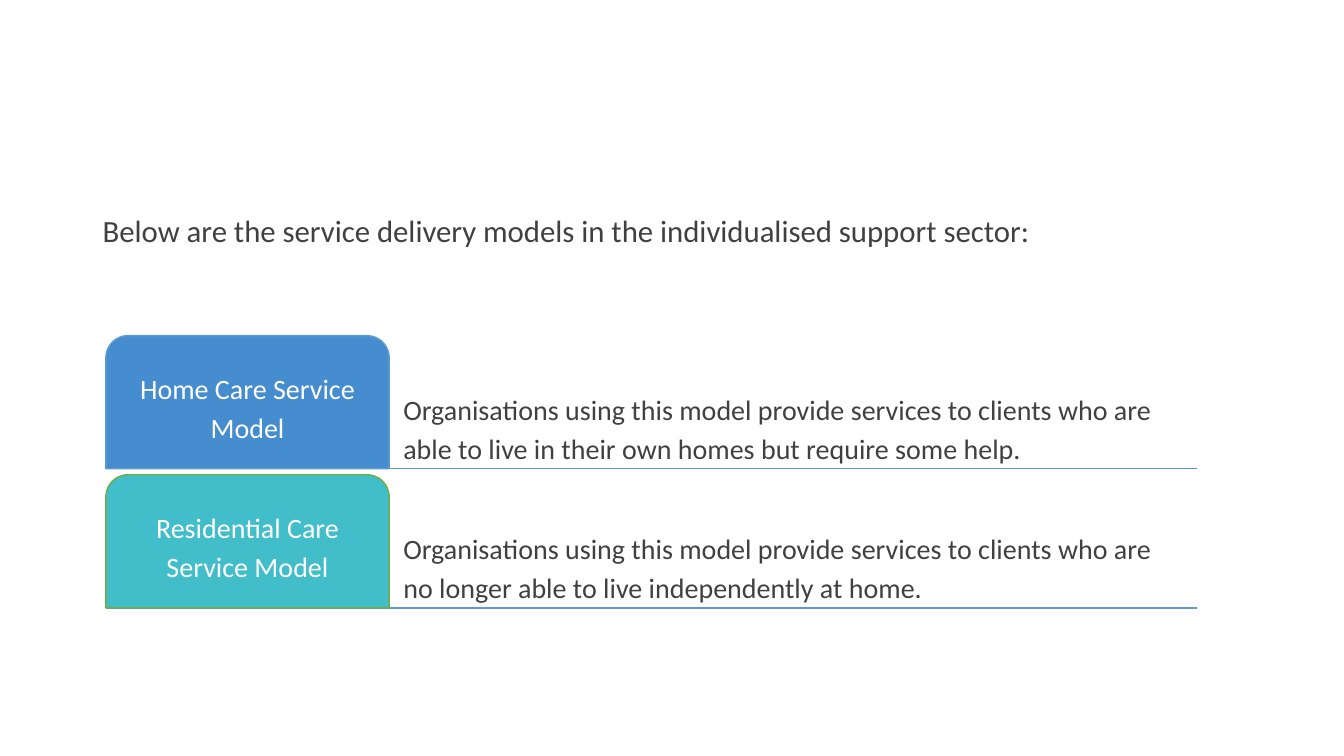
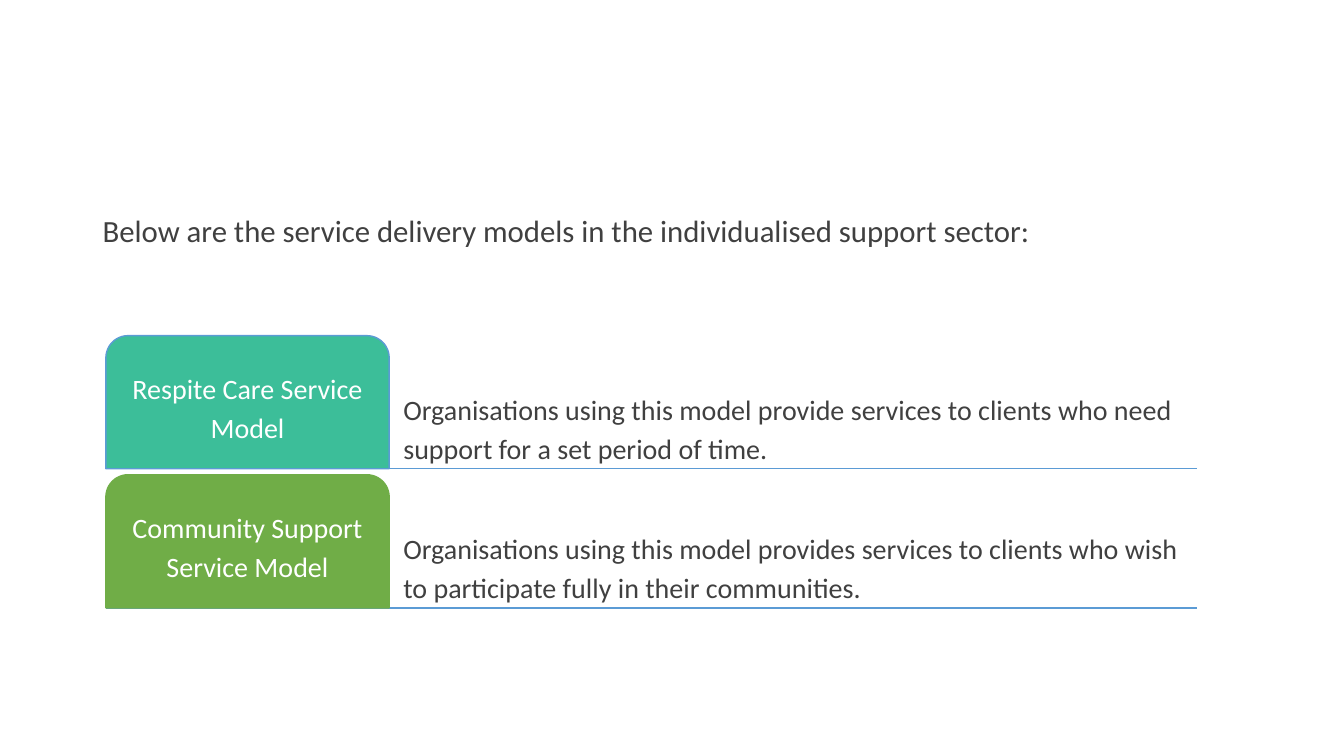
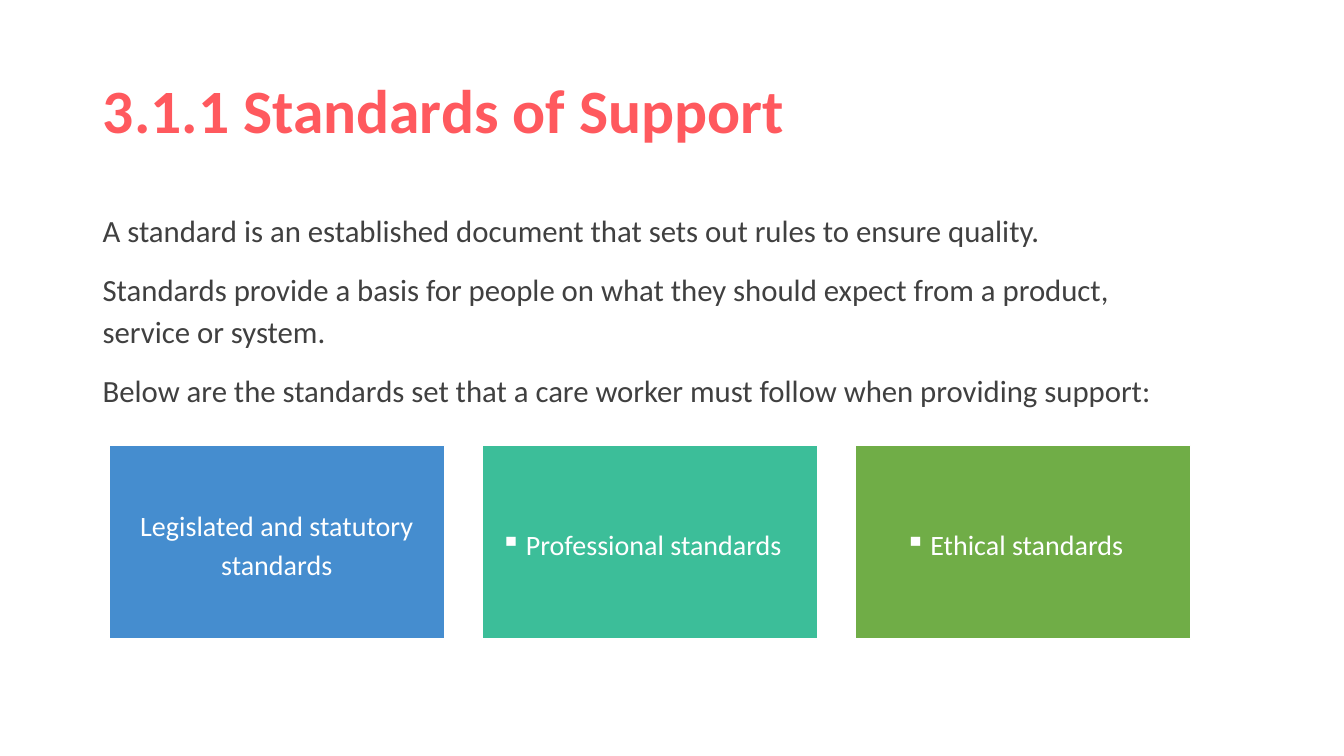
from dataclasses import dataclass

import lxml.etree
import pptx
import pptx.dml.color
import pptx.enum.shapes
import pptx.enum.text
import pptx.oxml.ns
import pptx.util

PX = 9144  # EMU per px, 100 px to the inch
FONT = "Calibri"
COLORS = {
    "white": "FFFFFF",
    "text": "404040",
    "title": "FF595E",
    "rule": "5B9BD5",
    "blue": "458DCF",
    "turquoise": "42BDCA",
    "teal": "3CBE99",
    "green": "70AD47",
}
TITLE_ONLY, BLANK = 5, 6

MODELS_INTRO = "Below are the service delivery models in the individualised support sector:"
ROWS_TOP, ROW_HEIGHT, ROW_PITCH = 333, 132, 138
CARDS_LEFT, CARDS_TOP, CARD_WIDTH, CARD_HEIGHT, CARD_GAP = 108, 442, 333, 192, 37


@dataclass(frozen=True)
class Box:
    left: int
    top: int
    width: int
    height: int

    def emu(self) -> list[int]:
        return [px * PX for px in (self.left, self.top, self.width, self.height)]


@dataclass(frozen=True)
class TextStyle:
    size: int
    color: str
    bold: bool = False
    centered: bool = False
    line_spacing: float = 1.14
    before: int = 0
    after: int = 6


@dataclass(frozen=True)
class ServiceModel:
    name: str
    description: str
    fill: str
    outline: str


@dataclass(frozen=True)
class Standard:
    name: str
    fill: str
    bulleted: bool = False


TITLE_BOX = Box(92, 40, 1103, 145)
BODY_BOX = Box(92, 200, 1103, 476)
TITLE = TextStyle(44, "title", bold=True, line_spacing=0.9, after=0)
BODY = TextStyle(22, "text", before=6)
DESCRIPTION = TextStyle(20, "text")
LABEL = TextStyle(20, "white", centered=True)

MODEL_SLIDES = [
    [
        ServiceModel(
            "Home Care Service Model",
            "Organisations using this model provide services to clients who are "
            "able to live in their own homes but require some help.",
            "blue", "rule"),
        ServiceModel(
            "Residential Care Service Model",
            "Organisations using this model provide services to clients who are "
            "no longer able to live independently at home.",
            "turquoise", "green"),
    ],
    [
        ServiceModel(
            "Respite Care Service Model",
            "Organisations using this model provide services to clients who need "
            "support for a set period of time.",
            "teal", "rule"),
        ServiceModel(
            "Community Support Service Model",
            "Organisations using this model provides services to clients who wish "
            "to participate fully in their communities.",
            "green", "green"),
    ],
]
STANDARDS_INTRO = [
    "A standard is an established document that sets out rules to ensure quality.",
    "Standards provide a basis for people on what they should expect from a product, "
    "service or system.",
    "Below are the standards set that a care worker must follow when providing support:",
]
STANDARDS = [
    Standard("Legislated and statutory standards", "blue"),
    Standard("Professional standards", "teal", bulleted=True),
    Standard("Ethical standards", "green", bulleted=True),
]


def rgb(name: str) -> pptx.dml.color.RGBColor:
    return pptx.dml.color.RGBColor.from_string(COLORS[name])


def add_bullet(paragraph) -> None:
    properties = paragraph._p.get_or_add_pPr()
    for name, px in (("marL", 25), ("marR", 17), ("indent", -25)):
        properties.set(name, str(px * PX))
    bullet = lxml.etree.SubElement(properties, pptx.oxml.ns.qn("a:buChar"))
    bullet.set("char", "▪")


def write(shape, lines: list[str], style: TextStyle, anchor: str = "TOP",
          inset: int | None = None, bulleted: bool = False) -> None:
    frame = shape.text_frame
    frame.text = "\n".join(lines)
    frame.word_wrap = True
    frame.auto_size = pptx.enum.text.MSO_AUTO_SIZE.NONE
    frame.vertical_anchor = pptx.enum.text.MSO_ANCHOR[anchor]
    if inset is not None:
        frame.margin_left = frame.margin_right = inset * PX
        frame.margin_top = frame.margin_bottom = inset * PX
    for index, paragraph in enumerate(frame.paragraphs):
        if bulleted:
            add_bullet(paragraph)
        paragraph.alignment = pptx.enum.text.PP_ALIGN["CENTER" if style.centered else "LEFT"]
        paragraph.line_spacing = style.line_spacing
        paragraph.space_before = pptx.util.Pt(style.before if index else 0)
        paragraph.space_after = pptx.util.Pt(style.after)
        for run in paragraph.runs:
            run.font.name = FONT
            run.font.size = pptx.util.Pt(style.size)
            run.font.bold = style.bold
            run.font.color.rgb = rgb(style.color)


def add_text(slide, box: Box, lines: list[str], style: TextStyle,
             anchor: str = "TOP", inset: int | None = None) -> None:
    write(slide.shapes.add_textbox(*box.emu()), lines, style, anchor, inset)


def add_panel(slide, preset: str, box: Box, fill: str, outline: str):
    panel = slide.shapes.add_shape(pptx.enum.shapes.MSO_SHAPE[preset], *box.emu())
    panel.shadow.inherit = False
    panel.fill.solid()
    panel.fill.fore_color.rgb = rgb(fill)
    panel.line.color.rgb = rgb(outline)
    panel.line.width = pptx.util.Pt(1)
    return panel


def add_rule(slide, left: int, right: int, y: int) -> None:
    rule = slide.shapes.add_connector(
        pptx.enum.shapes.MSO_CONNECTOR.STRAIGHT, left * PX, y * PX, right * PX, y * PX)
    rule.line.color.rgb = rgb("rule")
    rule.line.width = pptx.util.Pt(1)
    lxml.etree.SubElement(rule._element.spPr, pptx.oxml.ns.qn("a:effectLst"))


def add_model_row(slide, model: ServiceModel, top: int) -> None:
    add_rule(slide, 105, 1187, top + ROW_HEIGHT)
    add_text(slide, Box(396, top, 782, ROW_HEIGHT), [model.description],
             DESCRIPTION, "BOTTOM", inset=4)
    tab = add_panel(slide, "ROUND_2_SAME_RECTANGLE", Box(105, top, 281, ROW_HEIGHT),
                    model.fill, model.outline)
    write(tab, [model.name], LABEL, "MIDDLE", inset=4)


def add_models_slide(deck, models: list[ServiceModel]) -> None:
    slide = deck.slides.add_slide(deck.slide_layouts[BLANK])
    add_text(slide, BODY_BOX, [MODELS_INTRO], BODY)
    for index, model in enumerate(models):
        add_model_row(slide, model, ROWS_TOP + index * ROW_PITCH)


def add_standards_slide(deck) -> None:
    slide = deck.slides.add_slide(deck.slide_layouts[TITLE_ONLY])
    title = slide.shapes.title
    title.left, title.top, title.width, title.height = TITLE_BOX.emu()
    write(title, ["3.1.1 Standards of Support"], TITLE, "MIDDLE")
    add_text(slide, BODY_BOX, STANDARDS_INTRO, BODY)
    for index, standard in enumerate(STANDARDS):
        left = CARDS_LEFT + index * (CARD_WIDTH + CARD_GAP)
        card = add_panel(slide, "RECTANGLE", Box(left, CARDS_TOP, CARD_WIDTH, CARD_HEIGHT),
                         standard.fill, "white")
        write(card, [standard.name], LABEL, "MIDDLE", inset=8, bulleted=standard.bulleted)


def main() -> None:
    deck = pptx.Presentation()
    deck.slide_width, deck.slide_height = 1333 * PX, 750 * PX
    for models in MODEL_SLIDES:
        add_models_slide(deck, models)
    add_standards_slide(deck)
    deck.save("out.pptx")


if __name__ == "__main__":
    main()
